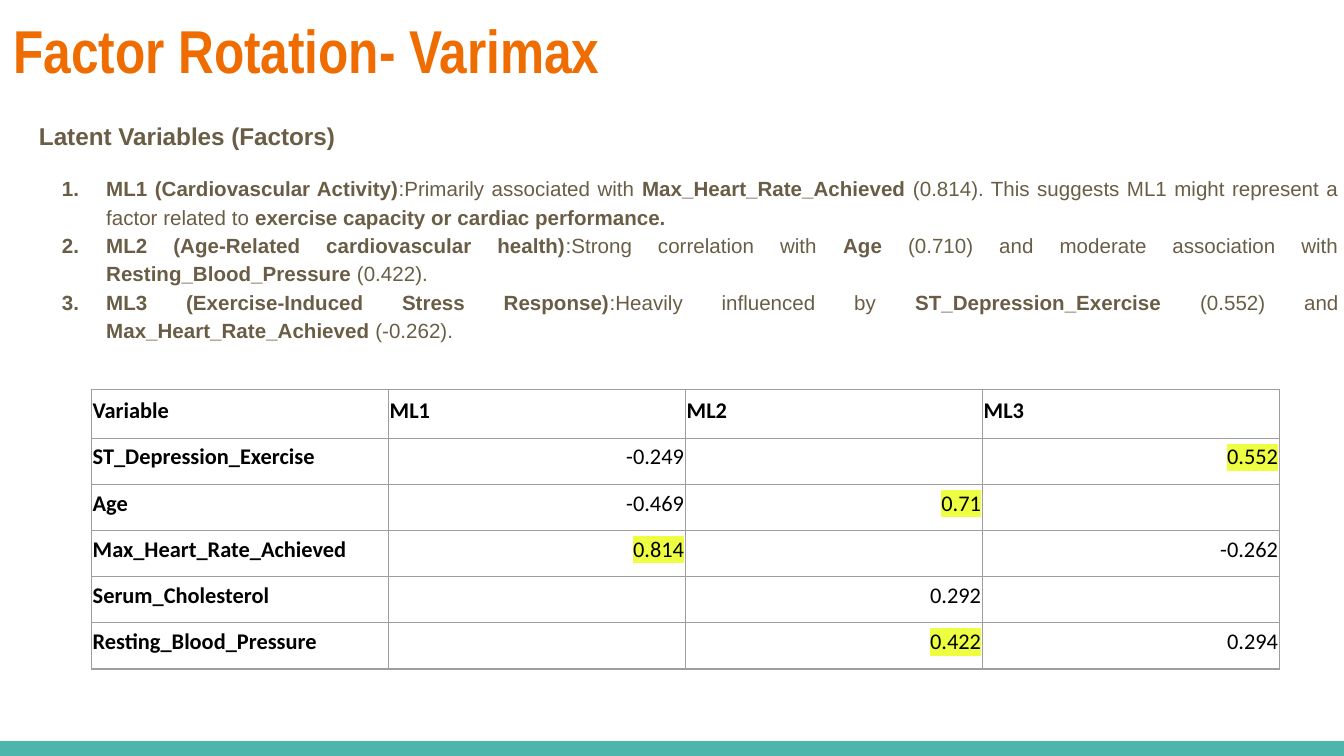
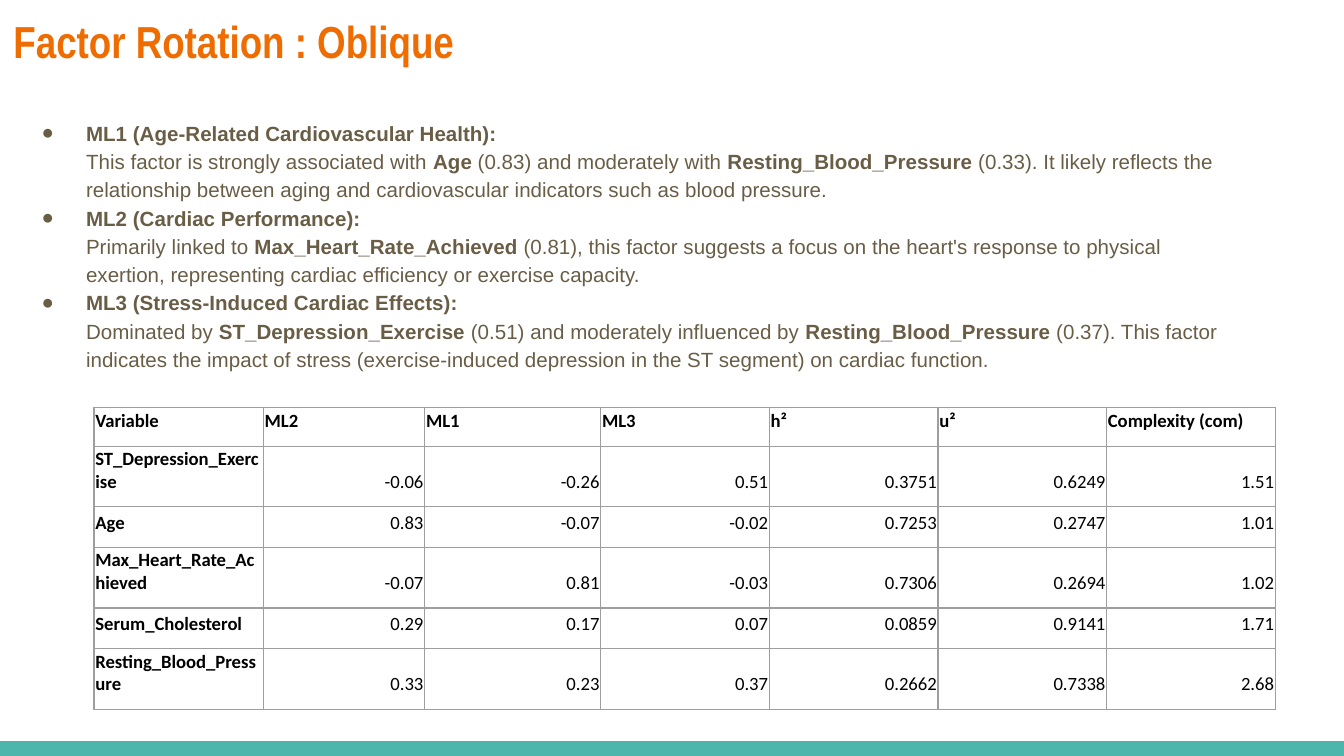
from copy import deepcopy

from lxml import etree
from pptx import Presentation
from pptx.dml.color import RGBColor
from pptx.enum.shapes import MSO_SHAPE
from pptx.enum.text import MSO_ANCHOR, MSO_AUTO_SIZE, PP_ALIGN
from pptx.oxml.ns import qn
from pptx.util import Inches, Pt

RECTANGLE = MSO_SHAPE.RECTANGLE
TOP, BOTTOM = MSO_ANCHOR.TOP, MSO_ANCHOR.BOTTOM
LEFT, RIGHT, JUSTIFY = PP_ALIGN.LEFT, PP_ALIGN.RIGHT, PP_ALIGN.JUSTIFY
NO_AUTOFIT = MSO_AUTO_SIZE.NONE

ORANGE = RGBColor(0xEF, 0x6C, 0x00)
BROWN = RGBColor(0x69, 0x5D, 0x46)
TEAL = RGBColor(0x4D, 0xB6, 0xAC)
BLACK = RGBColor(0x00, 0x00, 0x00)
GREY = RGBColor(0x9E, 0x9E, 0x9E)
YELLOW = RGBColor(0xEE, 0xFF, 0x41)

# A 16:9 slide
SLIDE_WIDTH = Inches(10)
SLIDE_HEIGHT = SLIDE_WIDTH * 9 // 16
BAND_HEIGHT = Inches(0.11)

# Content: ** switches bold on and off, a leading * marks a highlighted value
SLIDES = [
    {
        "title": "Factor Rotation- Varimax",
        "title_size": 32.4,
        "heading": "Latent Variables (Factors)",
        "body_box": (0.19, 0.77, 9.87, 3.61),
        "numbered": True,
        "alignment": JUSTIFY,
        "factors": [
            "**ML1 (Cardiovascular Activity)**:Primarily associated with "
            "**Max_Heart_Rate_Achieved** (0.814). This suggests ML1 might represent "
            "a factor related to **exercise capacity or cardiac performance.**",
            "**ML2 (Age-Related cardiovascular health)**:Strong correlation with "
            "**Age** (0.710) and moderate association with "
            "**Resting_Blood_Pressure** (0.422).",
            "**ML3 (Exercise-Induced Stress Response)**:Heavily influenced by "
            "**ST_Depression_Exercise** (0.552) and "
            "**Max_Heart_Rate_Achieved** (-0.262).",
        ],
        "table_at": (0.68, 2.9),
        "table_size": 12,
        "table_width": 8.84,
        "first_columns": [],
        "row_heights": [0.36] + [0.34] * 5,
        "rows": [
            ("Variable", "ML1", "ML2", "ML3"),
            ("ST_Depression_Exercise", "-0.249", "", "*0.552"),
            ("Age", "-0.469", "*0.71", ""),
            ("Max_Heart_Rate_Achieved", "*0.814", "", "-0.262"),
            ("Serum_Cholesterol", "", "0.292", ""),
            ("Resting_Blood_Pressure", "", "*0.422", "0.294"),
        ],
    },
    {
        "title": "Factor Rotation : Oblique",
        "title_size": 24,
        "heading": None,
        "body_box": (0.04, 0.77, 9.32, 3.61),
        "numbered": False,
        "alignment": LEFT,
        "factors": [
            "**ML1 (Age-Related Cardiovascular Health):\n**This factor is strongly "
            "associated with **Age** (0.83) and moderately with "
            "**Resting_Blood_Pressure** (0.33). It likely reflects the relationship "
            "between aging and cardiovascular indicators such as blood pressure.",
            "**ML2 (Cardiac Performance):\n**Primarily linked to "
            "**Max_Heart_Rate_Achieved** (0.81), this factor suggests a focus on the "
            "heart's response to physical exertion, representing cardiac efficiency "
            "or exercise capacity.",
            "**ML3 (Stress-Induced Cardiac Effects):\n**Dominated by "
            "**ST_Depression_Exercise** (0.51) and moderately influenced by "
            "**Resting_Blood_Pressure** (0.37). This factor indicates the impact of "
            "stress (exercise-induced depression in the ST segment) on cardiac "
            "function.",
        ],
        "table_at": (0.7, 3.03),
        "table_size": 10,
        "table_width": 8.79,
        "first_columns": [1.26, 1.2, 1.31],
        "row_heights": [0.29] + [0.45, 0.3] * 2 + [0.45],
        "rows": [
            ("Variable", "ML2", "ML1", "ML3", "h²", "u²", "Complexity (com)"),
            ("ST_Depression_Exercise", "-0.06", "-0.26", "0.51", "0.3751", "0.6249", "1.51"),
            ("Age", "0.83", "-0.07", "-0.02", "0.7253", "0.2747", "1.01"),
            ("Max_Heart_Rate_Achieved", "-0.07", "0.81", "-0.03", "0.7306", "0.2694", "1.02"),
            ("Serum_Cholesterol", "0.29", "0.17", "0.07", "0.0859", "0.9141", "1.71"),
            ("Resting_Blood_Pressure", "0.33", "0.23", "0.37", "0.2662", "0.7338", "2.68"),
        ],
    },
]


def apply(target, **values):
    for name, value in values.items():
        setattr(target, name, value)


def add_color(parent, tag, color):
    element = etree.SubElement(parent, qn(tag))
    etree.SubElement(element, qn("a:srgbClr"), val=str(color))
    return element


def add_run(paragraph, text, color, **font_values):
    run = paragraph.add_run()
    run.text = text
    apply(run.font, **font_values)
    run.font.color.rgb = color
    return run


def place(placeholder, box):
    left, top, width, height = map(Inches, box)
    apply(placeholder, left=left, top=top, width=width, height=height)
    margins = dict.fromkeys(
        ("margin_left", "margin_top", "margin_right", "margin_bottom"), Inches(0.1))
    apply(placeholder.text_frame, word_wrap=True, auto_size=NO_AUTOFIT,
          vertical_anchor=TOP, **margins)
    return placeholder.text_frame


def add_marked_text(paragraph, text):
    for index, part in enumerate(text.split("**")):
        if not part:
            continue
        run = add_run(paragraph, part.rstrip("\n"), BROWN, name="Arial",
                      size=Pt(11), bold=index % 2 == 1)
        if part.endswith("\n"):
            paragraph.add_line_break()
            paragraph._p[-1].append(deepcopy(run.font._element))


def format_list_item(paragraph, numbered):
    properties = paragraph._p.get_or_add_pPr()
    properties.set("marL", str(Inches(0.5)))
    properties.set("indent", str(-Inches(0.33)))
    add_color(properties, "a:buClr", BROWN)
    if numbered:
        etree.SubElement(properties, qn("a:buAutoNum"), type="arabicPeriod")
    else:
        etree.SubElement(properties, qn("a:buChar"), char="●")


def fill_body(text_frame, content):
    paragraph = text_frame.paragraphs[0]
    first_space = Pt(0)
    if content["heading"]:
        properties = paragraph._p.get_or_add_pPr()
        properties.set("marL", "0")
        properties.set("indent", "0")
        etree.SubElement(properties, qn("a:buNone"))
        apply(paragraph, line_spacing=1.15, space_before=Pt(0), alignment=LEFT)
        add_run(paragraph, content["heading"], BROWN, name="Arial", size=Pt(13), bold=True)
        paragraph = text_frame.add_paragraph()
        first_space = Pt(12)
    for index, factor in enumerate(content["factors"]):
        if index:
            paragraph = text_frame.add_paragraph()
        format_list_item(paragraph, content["numbered"])
        apply(paragraph, line_spacing=1.15, alignment=content["alignment"],
              space_before=Pt(0) if index else first_space)
        add_marked_text(paragraph, factor)


def add_borders(cell):
    properties = cell._tc.get_or_add_tcPr()
    for index, tag in enumerate(("a:lnL", "a:lnR", "a:lnT", "a:lnB")):
        line = etree.Element(qn(tag), w=str(Pt(0.75)))
        add_color(line, "a:solidFill", GREY)
        properties.insert(index, line)


def fill_cell(cell, text, size, is_label):
    apply(cell, margin_left=Inches(0.01), margin_right=Inches(0.01),
          margin_top=Inches(0.01), margin_bottom=Inches(0.1), vertical_anchor=BOTTOM)
    cell.fill.background()
    add_borders(cell)
    paragraph = cell.text_frame.paragraphs[0]
    if not text:
        # Keeps an empty cell from stretching its row
        etree.SubElement(paragraph._p, qn("a:endParaRPr"), sz=str(size * 100))
        return
    if not is_label:
        apply(paragraph, alignment=RIGHT, line_spacing=1.15)
    run = add_run(paragraph, text.lstrip("*"), BLACK, name="Calibri",
                  size=Pt(size), bold=is_label)
    if text.startswith("*"):
        properties = run.font._element
        highlight = add_color(properties, "a:highlight", YELLOW)
        properties.find(qn("a:solidFill")).addnext(highlight)


def column_widths(content):
    """The columns after the first ones share the remaining width equally."""
    first = content["first_columns"]
    count = len(content["rows"][0]) - len(first)
    return first + [(content["table_width"] - sum(first)) / count] * count


def add_loadings_table(slide, content):
    rows, heights = content["rows"], content["row_heights"]
    widths = column_widths(content)
    left, top = content["table_at"]
    table = slide.shapes.add_table(
        len(rows), len(widths), Inches(left), Inches(top),
        Inches(content["table_width"]), Inches(sum(heights))).table
    apply(table, first_row=False, horz_banding=False)
    for column, width in zip(table.columns, widths):
        column.width = Inches(width)
    for row_index, (row, height) in enumerate(zip(rows, heights)):
        table.rows[row_index].height = Inches(height)
        for column_index, text in enumerate(row):
            fill_cell(table.cell(row_index, column_index), text, content["table_size"],
                      is_label=row_index == 0 or column_index == 0)


def add_band(slide, layout):
    band = slide.shapes.add_shape(
        RECTANGLE, 0, SLIDE_HEIGHT - BAND_HEIGHT, SLIDE_WIDTH, BAND_HEIGHT)
    band.shadow.inherit = False
    band.fill.solid()
    band.fill.fore_color.rgb = TEAL
    band.line.fill.background()
    # The band belongs to the layout, so every slide shows it
    layout.shapes.element.append(band.element)


def main():
    presentation = Presentation()
    apply(presentation, slide_width=SLIDE_WIDTH, slide_height=SLIDE_HEIGHT)
    layout = presentation.slide_layouts[1]
    for index, content in enumerate(SLIDES):
        slide = presentation.slides.add_slide(layout)
        if index == 0:
            add_band(slide, layout)
        # Title
        title = place(slide.shapes.title, (0, 0, 9.32, 0.77)).paragraphs[0]
        title.alignment = LEFT
        add_run(title, content["title"], ORANGE, name="Arial Narrow",
                size=Pt(content["title_size"]), bold=True)
        # Factors and their loadings
        fill_body(place(slide.placeholders[1], content["body_box"]), content)
        add_loadings_table(slide, content)
    presentation.save("out.pptx")


if __name__ == "__main__":
    main()
